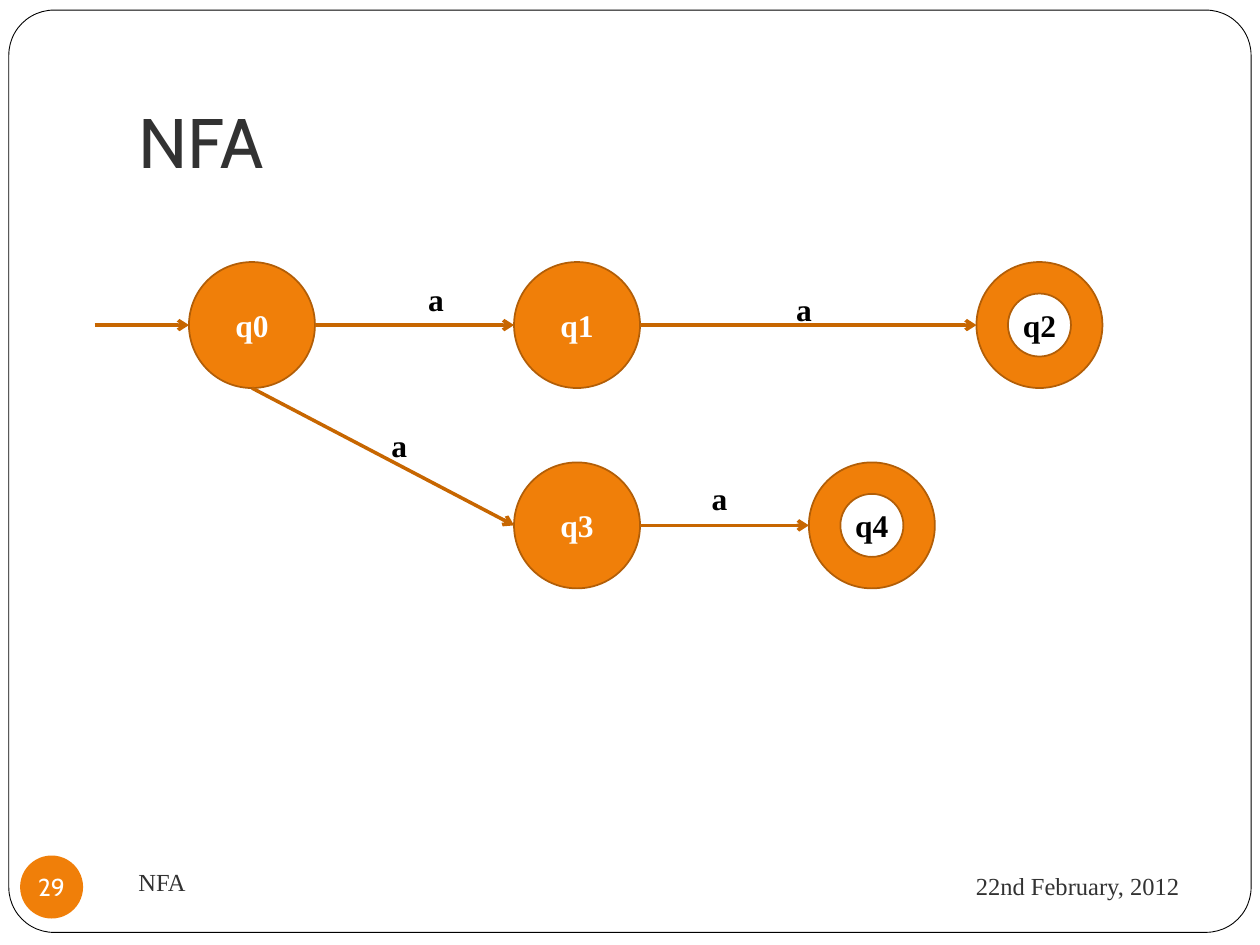
"""Draw the NFA state diagram slide."""
from dataclasses import dataclass

from lxml import etree
from pptx import Presentation
from pptx.dml.color import RGBColor
from pptx.enum import shapes, text
from pptx.oxml import ns
from pptx.util import Inches, Pt

SERIF, SANS = "Times New Roman", "Cabin"
ORANGE, EDGE, ARROW = "F07F09", "B25E07", "C76600"
WHITE, BLACK, GREY = "FFFFFF", "000000", "323232"
DIAMETER = 1.0
RADIUS = DIAMETER / 2
KIND = shapes.MSO_SHAPE
ALIGN = text.PP_ALIGN
ANCHOR = text.MSO_ANCHOR


@dataclass
class State:
    name: str
    left: float
    top: float
    final: bool = False

    @property
    def west(self):
        return self.left, self.top + RADIUS

    @property
    def east(self):
        return self.left + DIAMETER, self.top + RADIUS

    @property
    def south(self):
        return self.left + RADIUS, self.top + DIAMETER


@dataclass
class Label:
    words: str
    left: float
    top: float
    width: float
    height: float = 0.4
    size: float = 18
    color: str = BLACK
    bold: bool = True
    align: ALIGN = ALIGN.CENTER
    anchor: ANCHOR = ANCHOR.TOP


def rgb(color: str) -> RGBColor:
    return RGBColor.from_string(color)


def write(box, words: str, size: float, color: str, font: str = SERIF,
          bold: bool = False, align: ALIGN = ALIGN.CENTER,
          anchor: ANCHOR = ANCHOR.MIDDLE) -> None:
    frame = box.text_frame
    frame.text = words
    frame.word_wrap = True
    frame.vertical_anchor = anchor
    para = frame.paragraphs[0]
    para.alignment = align
    para.font.name = font
    para.font.size = Pt(size)
    para.font.bold = bold
    para.font.color.rgb = rgb(color)


def add_shape(page, kind: KIND, left: float, top: float, width: float,
              height: float, fill: str, line: str = "", weight: float = 1):
    shape = page.shapes.add_shape(
        kind, Inches(left), Inches(top), Inches(width), Inches(height))
    shape.shadow.inherit = False
    shape.fill.solid()
    shape.fill.fore_color.rgb = rgb(fill)
    if line:
        shape.line.color.rgb = rgb(line)
        shape.line.width = Pt(weight)
    else:
        shape.line.fill.background()
    return shape


def add_state(page, state: State) -> None:
    kind = KIND.DONUT if state.final else KIND.OVAL
    circle = add_shape(page, kind, state.left, state.top, DIAMETER, DIAMETER,
                       ORANGE, EDGE)
    write(circle, state.name, 18, BLACK if state.final else WHITE, bold=True)


def add_arrow(page, start: tuple[float, float], end: tuple[float, float]) -> None:
    arrow = page.shapes.add_connector(
        shapes.MSO_CONNECTOR.STRAIGHT, *map(Inches, start + end))
    arrow.line.color.rgb = rgb(ARROW)
    arrow.line.width = Pt(2)
    etree.SubElement(arrow.line._get_or_add_ln(), ns.qn("a:tailEnd"), type="arrow")
    etree.SubElement(arrow.element.spPr, ns.qn("a:effectLst"))


def add_label(page, label: Label) -> None:
    box = page.shapes.add_textbox(Inches(label.left), Inches(label.top),
                                  Inches(label.width), Inches(label.height))
    write(box, label.words, label.size, label.color, bold=label.bold,
          align=label.align, anchor=label.anchor)


def add_title(page, words: str) -> None:
    title = page.shapes.title
    title.left, title.top = Inches(1), Inches(0.3)
    title.width, title.height = Inches(8.5), Inches(1.25)
    write(title, words, 40, GREY, SANS, align=ALIGN.LEFT, anchor=ANCHOR.BOTTOM)
    title.text_frame.margin_bottom = Inches(0.1)
    title.text_frame.auto_size = text.MSO_AUTO_SIZE.NONE


def add_page_number(page, number: str) -> None:
    badge = add_shape(page, KIND.OVAL, 0.16, 6.79, 0.5, 0.5, ORANGE)
    write(badge, number, 14, WHITE, SANS)
    frame = badge.text_frame
    frame.word_wrap = False
    frame.margin_left = frame.margin_right = 0
    frame.margin_top = frame.margin_bottom = 0


def main() -> None:
    deck = Presentation()
    deck.slide_width, deck.slide_height = Inches(10), Inches(7.5)
    page = deck.slides.add_slide(deck.slide_layouts[5])

    border = add_shape(page, KIND.ROUNDED_RECTANGLE, 0.07, 0.08, 9.86, 7.32,
                       WHITE, BLACK, 0.5)
    border.adjustments[0] = 0.049
    page.shapes.title.element.addprevious(border.element)
    add_title(page, "NFA")
    add_page_number(page, "29")

    upper, lower = 2.08, 3.67
    q0 = State("q0", 1.5, upper)
    q1 = State("q1", 4.08, upper)
    q2 = State("q2", 7.75, upper, final=True)
    q3 = State("q3", 4.08, lower)
    q4 = State("q4", 6.42, lower, final=True)
    for state in (q0, q1, q2, q3, q4):
        add_state(page, state)

    entry = (0.75, upper + RADIUS)
    for start, end in ((entry, q0.west), (q0.east, q1.west), (q1.east, q2.west),
                       (q0.south, q3.west), (q3.east, q4.west)):
        add_arrow(page, start, end)

    footer = dict(size=14, color=GREY, bold=False, anchor=ANCHOR.MIDDLE)
    for label in (
        Label("a", 3, 2.17, 0.92),
        Label("a", 5.92, 2.25, 0.92),
        Label("a", 3, 3.33, 0.34),
        Label("a", 5.25, 3.75, 0.92),
        Label("NFA", 1, 6.75, 4.33, 0.5, align=ALIGN.LEFT, **footer),
        Label("22nd February, 2012", 6.75, 6.77, 2.71, 0.52, align=ALIGN.RIGHT,
              **footer),
    ):
        add_label(page, label)

    deck.save("out.pptx")


if __name__ == "__main__":
    main()
